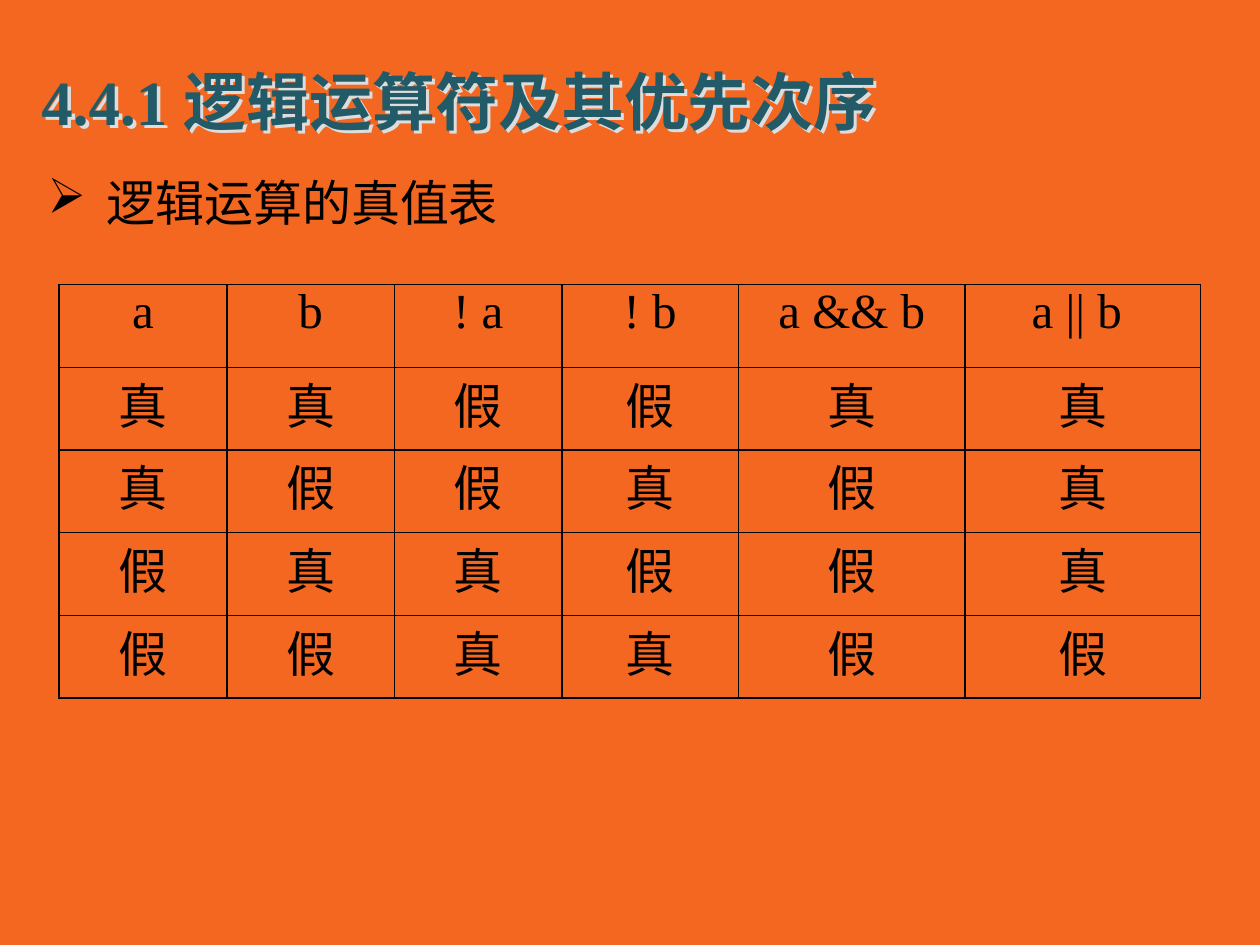
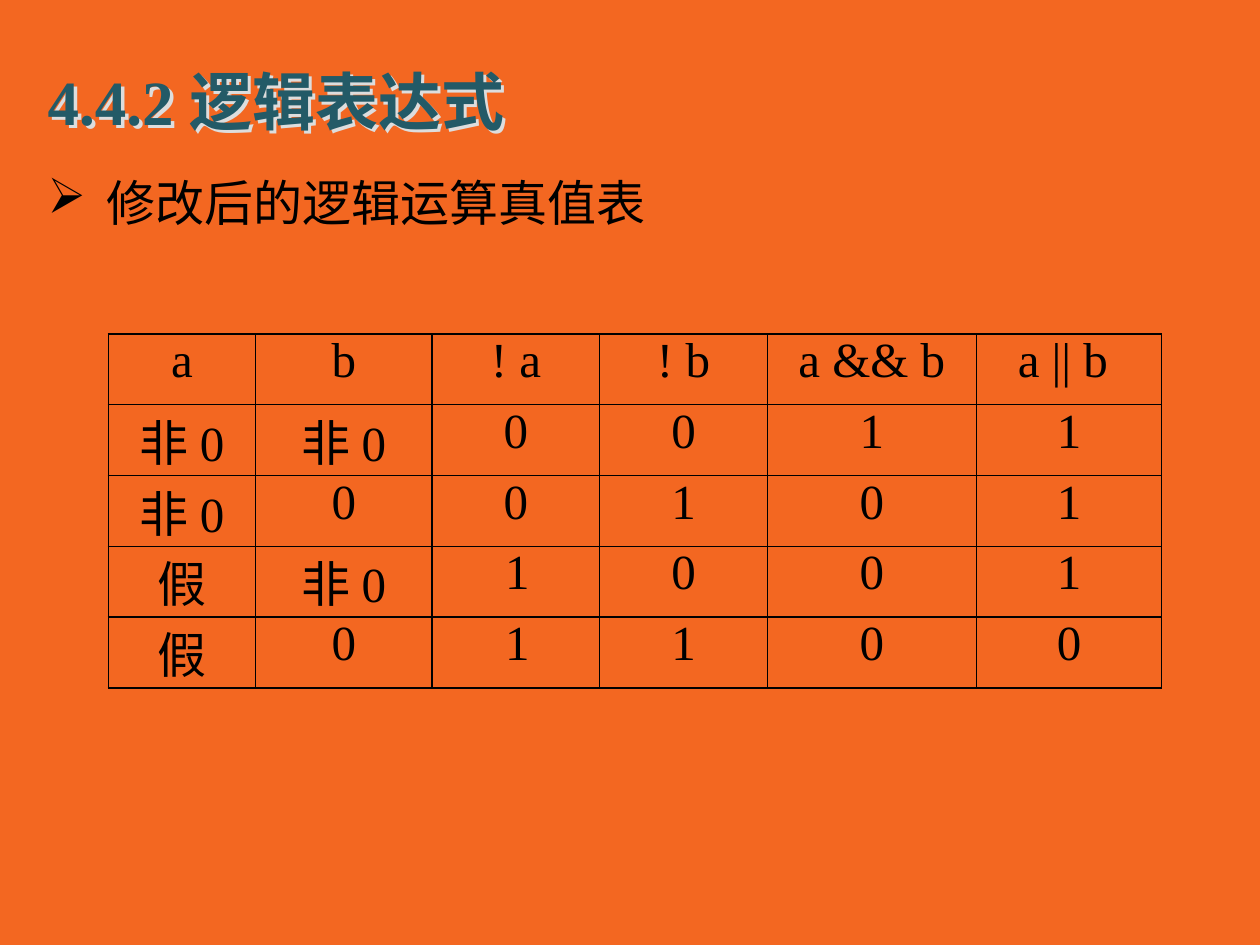
"""Build two slides with truth tables for logical operators."""
from dataclasses import dataclass

from lxml.etree import SubElement
from pptx import Presentation
from pptx.dml.color import RGBColor
from pptx.enum.text import MSO_ANCHOR as Anchor, PP_ALIGN as Align
from pptx.oxml import parse_xml
from pptx.oxml.ns import nsdecls, qn
from pptx.util import Pt


@dataclass(frozen=True)
class Theme:
    background: str = "F36721"
    title: str = "235A67"
    shadow: str = "DDDDDD"
    ink: str = "000000"
    font: str = "Times New Roman"
    bullet_font: str = "Wingdings"
    title_size: int = 36
    body_size: int = 28
    border: int = 1


THEME = Theme()
PX = 9144


def write(frame, text, size=THEME.body_size, color=THEME.ink, bold=False, align=Align.LEFT,
          margin=0, indent=0, spacing=None, bullet=None):
    """Fill a text frame with one formatted paragraph."""
    frame.word_wrap = True
    paragraph = frame.paragraphs[0]
    paragraph.alignment = align
    if spacing:
        paragraph.line_spacing = spacing
    properties = paragraph._p.get_or_add_pPr()
    properties.set("marL", str(margin * PX))
    properties.set("indent", str(indent * PX))
    if bullet:
        SubElement(properties, qn("a:buFont")).set("typeface", THEME.bullet_font)
        SubElement(properties, qn("a:buChar")).set("char", bullet)
    run = paragraph.add_run()
    run.text = text
    font = run.font
    font.size, font.bold = Pt(size), bold
    font.color.rgb = RGBColor.from_string(color)
    font.name = THEME.font


def set_borders(cell):
    """Clear the fill of a cell and draw its four borders."""
    cell.fill.background()
    properties = cell._tc.get_or_add_tcPr()
    for position, side in enumerate(("lnL", "lnR", "lnT", "lnB")):
        properties.insert(position, parse_xml(
            f'<a:{side} {nsdecls("a")} w="{Pt(THEME.border)}"><a:solidFill>'
            f'<a:srgbClr val="{THEME.ink}"/></a:solidFill></a:{side}>'))


HEADER = ["a", "b", "! a", "! b", "a && b", "a || b "]
SLIDES = [
    dict(title="4.4.1 逻辑运算符及其优先次序", title_box=(23, 44, 938, 71),
         point=" 逻辑运算的真值表", point_box=(28, 123, 477, 70), hanging=38,
         table_box=(47, 226, 906, 328), columns=(133, 133, 133, 140, 180, 187),
         rows=["真 真 假 假 真 真", "真 假 假 真 假 真", "假 真 真 假 假 真", "假 假 真 真 假 假"],
         indented=()),
    dict(title="4.4.2 逻辑表达式", title_box=(28, 44, 386, 71),
         point="修改后的逻辑运算真值表", point_box=(28, 123, 617, 86), hanging=47,
         table_box=(86, 265, 836, 281), columns=(117, 140, 133, 133, 166, 147),
         rows=["非_0 非_0 0 0 1 1", "非_0 0 0 1 0 1", "假 非_0 1 0 0 1", "假 0 1 1 0 0"],
         indented=((3, 2), (4, 2))),
]

presentation = Presentation()
presentation.slide_width, presentation.slide_height = 1000 * PX, 750 * PX

for content in SLIDES:
    slide = presentation.slides.add_slide(presentation.slide_layouts[6])
    slide.background.fill.solid()
    slide.background.fill.fore_color.rgb = RGBColor.from_string(THEME.background)

    title = slide.shapes.add_textbox(*(length * PX for length in content["title_box"]))
    title.text_frame.vertical_anchor = Anchor.MIDDLE
    title._element.spPr.append(parse_xml(
        f'<a:effectLst {nsdecls("a")}><a:outerShdw dist="{4 * PX}" dir="2700000" algn="ctr">'
        f'<a:srgbClr val="{THEME.shadow}"/></a:outerShdw></a:effectLst>'))
    write(title.text_frame, content["title"], size=THEME.title_size, color=THEME.title,
          bold=True, margin=2, indent=-2)

    point = slide.shapes.add_textbox(*(length * PX for length in content["point_box"]))
    write(point.text_frame, content["point"], margin=content["hanging"],
          indent=-content["hanging"], spacing=1.2, bullet="Ø")

    values = [HEADER] + [row.split() for row in content["rows"]]
    box = [length * PX for length in content["table_box"]]
    table = slide.shapes.add_table(len(values), len(HEADER), *box).table
    table.first_row = table.horz_banding = False
    for column, width in zip(table.columns, content["columns"]):
        column.width = width * PX
    for row_index, row in enumerate(values):
        table.rows[row_index].height = box[3] // len(values)
        for column_index, value in enumerate(row):
            cell = table.cell(row_index, column_index)
            cell.margin_left = cell.margin_right = 7 * PX
            cell.margin_top = cell.margin_bottom = 0
            set_borders(cell)
            indented = (row_index, column_index) in content["indented"]
            write(cell.text_frame, value.replace("_", " "), indent=51 if indented else 0,
                  align=Align.JUSTIFY if indented else Align.CENTER)

presentation.save("out.pptx")
